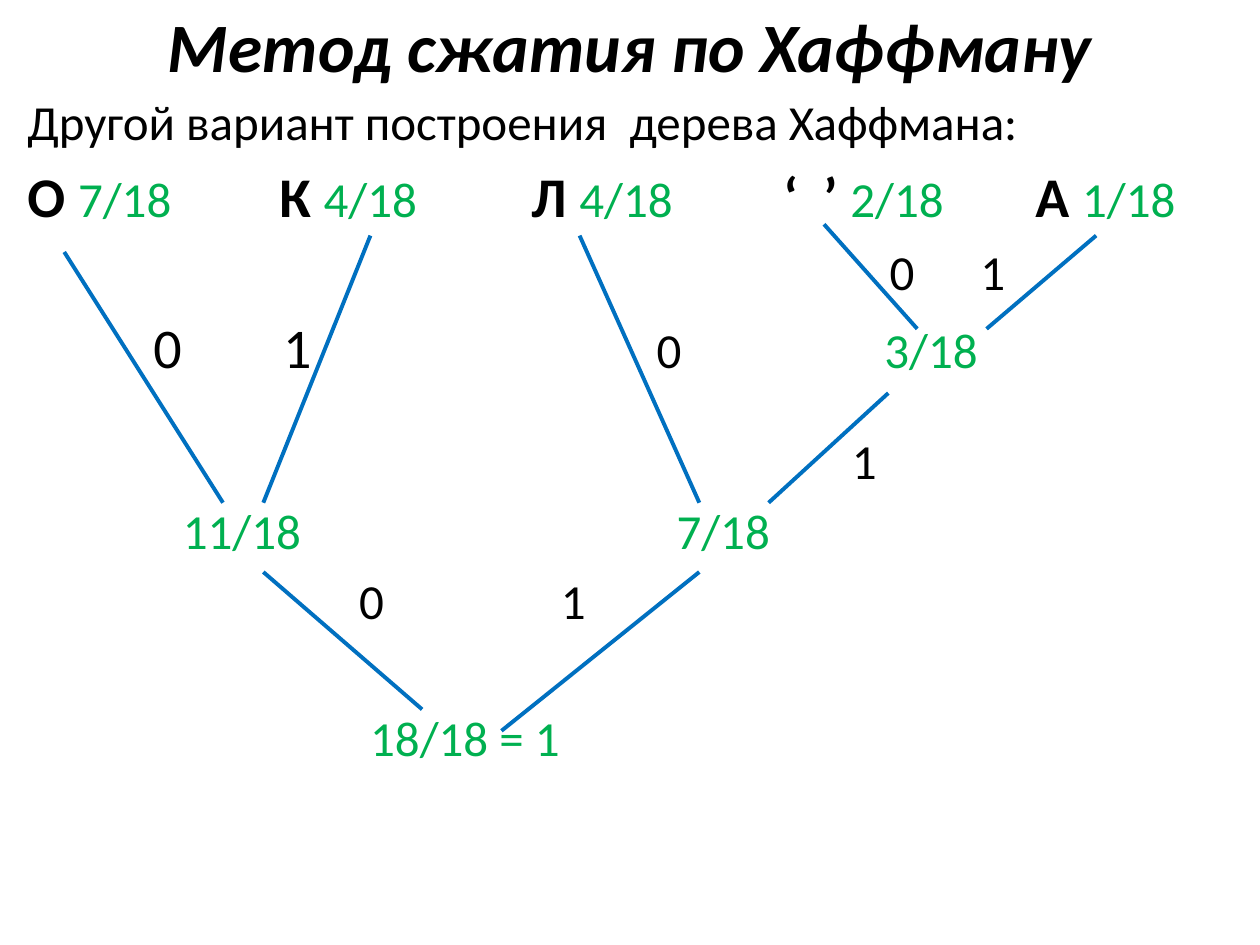
from lxml import etree
from pptx import Presentation, util as u
from pptx.dml.color import RGBColor
from pptx.enum import shapes, text
from pptx.oxml.ns import qn

COLORS = {"text": "000000", "weight": "00B050", "edge": "0070C0", "paper": "FFFFFF"}
FONT = "Calibri"
LEAVES = [("О", "7/18"), ("К", "4/18"), ("Л", "4/18"), ("‘  ’", "2/18"), ("А", "1/18")]
TAB_STEP = 2
NODES = [
    ("3/18", 7.39, 2.77),
    ("11/18", 1.92, 4.21),
    ("7/18", 5.74, 4.21),
    ("18/18 = 1", 3.69, 5.85),
]
BITS = [
    ("0", 7.16, 2.15, 28), ("1", 7.88, 2.15, 28),
    ("0", 1.33, 2.75, 32), ("1", 2.36, 2.75, 32),
    ("0", 5.31, 2.77, 28), ("1", 6.86, 3.65, 28),
    ("0", 2.95, 4.76, 28), ("1", 4.55, 4.76, 28),
]
EDGES = [
    (8.7, 1.87, 7.83, 2.61), (6.54, 1.78, 7.28, 2.61),
    (7.05, 3.12, 6.1, 3.99), (4.6, 1.87, 5.55, 3.99),
    (5.55, 4.54, 3.98, 5.8), (2.94, 1.87, 2.09, 3.99),
    (0.51, 2, 1.77, 3.99), (2.09, 4.54, 3.35, 5.63),
]


class TreeSlide:
    def __init__(self, prs):
        self.s = prs.slides.add_slide(prs.slide_layouts[5])

    def run(self, p, value, size=28, color="text", bold=False, italic=False):
        r = p.add_run()
        r.text = value
        r.font.name = FONT
        r.font.size = u.Pt(size)
        r.font.bold = bold
        r.font.italic = italic
        r.font.color.rgb = RGBColor.from_string(COLORS[color])

    def title(self, value):
        sp = self.s.shapes.title
        sp.left, sp.top, sp.width, sp.height = map(u.Inches, (0.5, 0.03, 9, 0.65))
        tf = sp.text_frame
        tf.vertical_anchor = text.MSO_ANCHOR.MIDDLE
        p = tf.paragraphs[0]
        p.alignment = text.PP_ALIGN.CENTER
        self.run(p, value, 39.6, bold=True, italic=True)

    def body(self, intro, leaves):
        sp = self.s.shapes.add_textbox(*map(u.Inches, (0.12, 0.68, 9.84, 6.51)))
        sp.fill.solid()
        sp.fill.fore_color.rgb = RGBColor.from_string(COLORS["paper"])
        tf = sp.text_frame
        tf.word_wrap = True
        self.run(tf.paragraphs[0], intro)
        p = tf.add_paragraph()
        p.space_before = u.Pt(6.4)
        tabs = etree.SubElement(p._p.get_or_add_pPr(), qn("a:tabLst"))
        for i, (symbol, weight) in enumerate(leaves):
            if i:
                etree.SubElement(tabs, qn("a:tab"), pos=str(u.Inches(i * TAB_STEP)), algn="l")
                self.run(p, "\t", 32)
            self.run(p, symbol + " ", 32, bold=True)
            self.run(p, weight, color="weight")

    def label(self, value, x, y, size=28, color="text"):
        w, h = (2, 0.6) if len(value) > 1 else (0.5, 0.6)
        sp = self.s.shapes.add_textbox(*map(u.Inches, (x - w / 2, y - h / 2, w, h)))
        tf = sp.text_frame
        tf.word_wrap = True
        tf.vertical_anchor = text.MSO_ANCHOR.MIDDLE
        p = tf.paragraphs[0]
        p.alignment = text.PP_ALIGN.CENTER
        self.run(p, value, size, color)

    def edge(self, *ends):
        c = self.s.shapes.add_connector(shapes.MSO_CONNECTOR.STRAIGHT, *map(u.Inches, ends))
        c.line.color.rgb = RGBColor.from_string(COLORS["edge"])
        c.line.width = u.Pt(2.25)
        etree.SubElement(c._element.spPr, qn("a:effectLst"))


def main():
    prs = Presentation()
    prs.slide_width, prs.slide_height = u.Inches(10), u.Inches(7.5)
    slide = TreeSlide(prs)
    slide.title("Метод сжатия по Хаффману")
    slide.body("Другой вариант построения  дерева Хаффмана:", LEAVES)
    for node in NODES:
        slide.label(*node, color="weight")
    for bit in BITS:
        slide.label(*bit)
    for ends in EDGES:
        slide.edge(*ends)
    prs.save("out.pptx")


if __name__ == "__main__":
    main()
